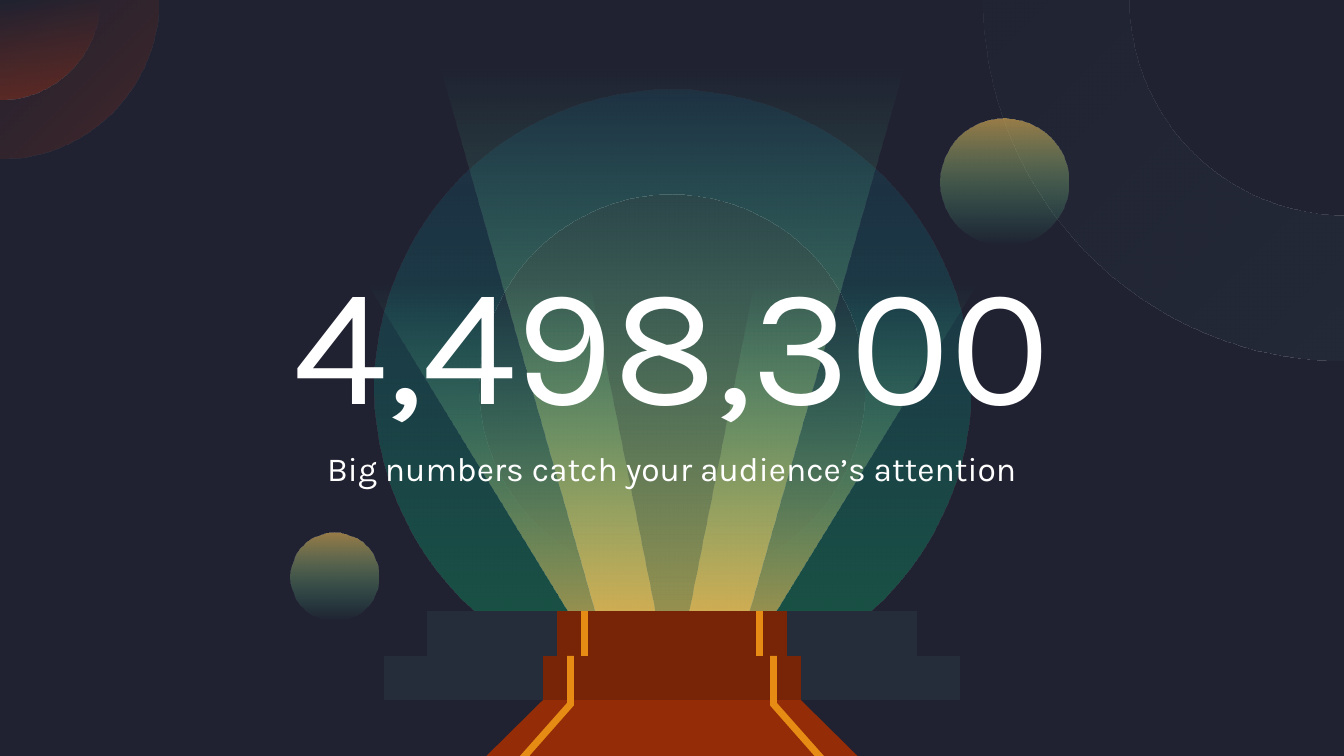
from dataclasses import dataclass
from math import cos, pi, sin

from lxml import etree
from pptx import Presentation
from pptx import util as u
from pptx.dml.color import RGBColor
from pptx.enum import shapes, text
from pptx.oxml.ns import qn

# Grid: 100 columns across the slide, rows of the same size
COLS, ROWS = 100, 56.25
WIDE = u.Inches(10)
MID = COLS / 2
STEPS = (45.5, 48.8, 52.1)  # top of each stair, then the floor

NIGHT, SLATE, WHITE = "202231", "252C3A", "FFFFFF"
RUST, WINE, RED, AMBER = "9C3218", "782406", "942D07", "E68C14"

Points = list[tuple[float, float]]


@dataclass
class Fade:
    """Two colours with opacity in percent; angle runs clockwise."""
    start: str
    alpha: int
    end: str
    omega: int
    angle: int


@dataclass
class Disc:
    x: float
    y: float
    size: float
    fill: Fade


@dataclass
class Label:
    words: str
    y: float
    height: float
    size: int
    anchor: text.MSO_ANCHOR


def grid(n: float) -> int:
    return round(WIDE * n / COLS)


def color(code: str) -> RGBColor:
    return RGBColor.from_string(code)


def paint(shape, fill: Fade | str) -> None:
    shape.shadow.inherit = False
    shape.line.fill.background()
    if isinstance(fill, str):
        shape.fill.solid()
        shape.fill.fore_color.rgb = color(fill)
        return
    shape.fill.gradient()
    grad = shape._element.spPr.find(qn("a:gradFill"))
    for child in list(grad):
        grad.remove(child)
    stops = etree.SubElement(grad, qn("a:gsLst"))
    for pos, code, alpha in ((0, fill.start, fill.alpha), (100, fill.end, fill.omega)):
        stop = etree.SubElement(stops, qn("a:gs"), pos=str(pos * 1000))
        tone = etree.SubElement(stop, qn("a:srgbClr"), val=code)
        etree.SubElement(tone, qn("a:alpha"), val=str(alpha * 1000))
    etree.SubElement(grad, qn("a:lin"), ang=str(fill.angle * 60000), scaled="0")


def draw(slide, pts: Points, fill: Fade | str) -> None:
    spots = [(grid(x), grid(y)) for x, y in pts]
    pen = slide.shapes.build_freeform(*spots[0], scale=1.0)
    pen.add_line_segments(spots[1:], close=True)
    paint(pen.convert_to_shape(), fill)


def disc(slide, d: Disc) -> None:
    box = map(grid, (d.x, d.y, d.size, d.size))
    paint(slide.shapes.add_shape(shapes.MSO_SHAPE.OVAL, *box), d.fill)


def arc(x: float, r: float, side: int) -> Points:
    """Quarter circle about (x, 0), from the top edge down; side is -1 or 1."""
    turns = [pi / 2 * i / 60 for i in range(61)]
    return [(x + side * r * cos(t), r * sin(t)) for t in turns]


def flip(pts: Points) -> Points:
    return [(COLS - x, y) for x, y in pts]


def block(slide, half: float, top: float, foot: float, low: float, fill: Fade | str) -> None:
    """Centred shape: half its width at the top, half at the foot."""
    draw(slide, [(MID - half, top), (MID - low, foot),
                 (MID + low, foot), (MID + half, top)], fill)


def pair(slide, pts: Points, fill: Fade | str) -> None:
    """Shape given by its distance from the middle, drawn on both sides."""
    right = [(MID + x, y) for x, y in pts]
    draw(slide, right, fill)
    draw(slide, flip(right), fill)


def write(slide, lab: Label) -> None:
    box = slide.shapes.add_textbox(*map(grid, (20.5, lab.y, 59, lab.height)))
    frame = box.text_frame
    frame.word_wrap = True
    frame.vertical_anchor = lab.anchor
    frame.margin_left = frame.margin_right = u.Inches(0.1)
    frame.margin_top = frame.margin_bottom = u.Inches(0.1)
    para = frame.paragraphs[0]
    para.alignment = text.PP_ALIGN.CENTER
    run = para.add_run()
    run.text = lab.words
    run.font.name = "Karla"
    run.font.size = u.Pt(lab.size)
    run.font.color.rgb = color(WHITE)


def corners(slide) -> None:
    for r, alpha, angle in ((11.8, 30, 225), (7.4, 42, 270)):
        draw(slide, [(0, 0)] + arc(0, r, 1), Fade(RUST, alpha, RUST, 0, angle))
    ring = arc(COLS, 26.8, -1) + arc(COLS, 16, -1)[::-1]
    draw(slide, ring, Fade(SLATE, 75, SLATE, 20, 225))


def lights(slide) -> None:
    disc(slide, Disc(27.9, 6.7, 44.3, Fade("0AC668", 33, "0A94C6", 10, 270)))
    disc(slide, Disc(35.7, 14.5, 28.6, Fade(SLATE, 72, SLATE, 0, 90)))
    beam = Fade("FEC659", 55, "4AFFC3", 0, 270)
    foot = STEPS[0]
    pair(slide, [(6.2, 20.9), (1.3, foot), (7.7, foot), (22.8, 20.9)], beam)
    block(slide, 17.3, 4.7, foot, 5.7, beam)


def stage(slide) -> None:
    high, low, floor = STEPS
    # Stairs and floor
    block(slide, 21.4, low, floor, 21.4, SLATE)
    block(slide, 18.2, high, low, 18.2, SLATE)
    block(slide, MID, floor, ROWS, MID, NIGHT)
    # Carpet
    block(slide, 9.6, low, floor, 9.6, WINE)
    block(slide, 8.55, high, low, 8.55, WINE)
    block(slide, 9.6, floor, ROWS, 13.8, RED)
    # Stripes
    pair(slide, [(7.3, low), (7.3, 52.5), (10.6, ROWS),
                 (11.3, ROWS), (7.8, 52.3), (7.8, low)], AMBER)
    pair(slide, [(6.25, high), (6.25, low), (6.75, low), (6.75, high)], AMBER)


def main() -> None:
    deck = Presentation()
    deck.slide_width, deck.slide_height = WIDE, grid(ROWS)
    slide = deck.slides.add_slide(deck.slide_layouts[6])
    slide.background.fill.solid()
    slide.background.fill.fore_color.rgb = color(NIGHT)

    corners(slide)
    lights(slide)
    write(slide, Label("4,498,300", 12.1, 21.5, 90, text.MSO_ANCHOR.BOTTOM))
    stage(slide)
    # Floating balls
    glow = Fade("FEC659", 55, "4AFFC3", 0, 90)
    for ball in (Disc(70, 8.8, 9.5, glow), Disc(21.6, 39.6, 6.6, glow)):
        disc(slide, ball)
    write(slide, Label("Big numbers catch your audience’s attention",
                       32.3, 7.2, 18, text.MSO_ANCHOR.TOP))
    deck.save("out.pptx")


if __name__ == "__main__":
    main()
